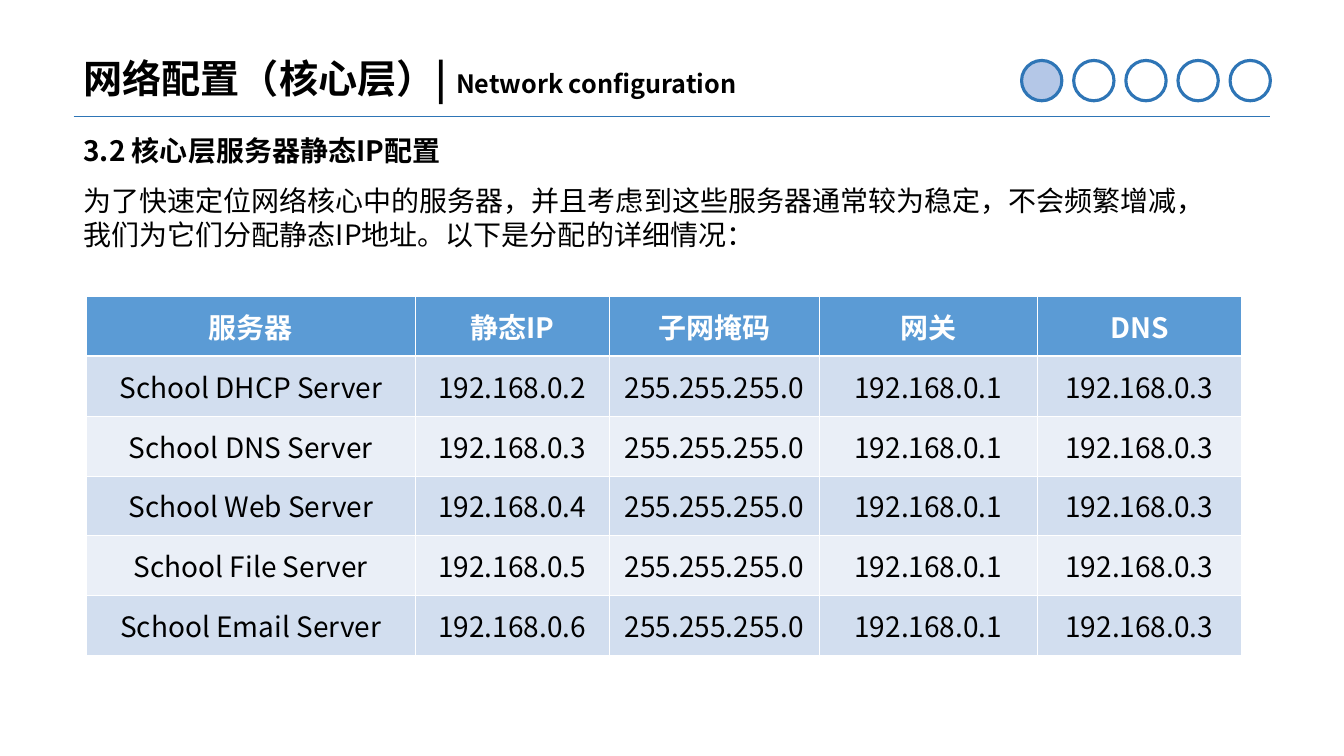
from dataclasses import dataclass

from lxml.etree import SubElement
from pptx import Presentation
from pptx.dml.color import RGBColor
from pptx.enum.shapes import MSO_CONNECTOR, MSO_SHAPE
from pptx.enum.text import MSO_ANCHOR, PP_ALIGN
from pptx.oxml import parse_xml
from pptx.oxml.ns import nsdecls, qn
from pptx.util import Inches, Pt

# Content
TITLE = "网络配置（核心层）| "
SUBTITLE = "Network configuration"
HEADING = "3.2 核心层服务器静态IP配置"
BODY = ("为了快速定位网络核心中的服务器，并且考虑到这些服务器通常较为稳定，"
        "不会频繁增减，我们为它们分配静态IP地址。以下是分配的详细情况：")
HEADER = ["服务器", "静态IP", "子网掩码", "网关", "DNS"]
SERVERS = [
    ("School DHCP Server", "192.168.0.2"),
    ("School DNS Server", "192.168.0.3"),
    ("School Web Server", "192.168.0.4"),
    ("School File Server", "192.168.0.5"),
    ("School Email Server", "192.168.0.6"),
]
SHARED_SETTINGS = ("255.255.255.0", "192.168.0.1", "192.168.0.3")
STEP_COUNT, CURRENT_STEP = 5, 0


@dataclass(frozen=True)
class Theme:
    font: str = "Noto Sans CJK SC"
    text: str = "000000"
    white: str = "FFFFFF"
    accent: str = "2E75B6"
    current: str = "B4C7E7"
    header: str = "5B9BD5"
    bands: tuple = ("D2DEEF", "EAEFF7")
    title_size: float = 28
    subtitle_size: float = 18
    body_size: float = 20
    rule_width: float = 0.5
    ring_width: float = 2.25
    border: float = 0.45
    header_border: float = 1.47


THEME = Theme()

# Layout in inches
WIDTH, HEIGHT = 13.34, 7.5
LEFT, RIGHT = 0.73, 12.61
RULE_TOP = 1.15
STEP_TOP, STEP_SIZE, STEP_FIRST = 0.6, 0.4, 10.14
TABLE_LEFT, TABLE_TOP, TABLE_HEIGHT = 0.86, 2.94, 3.56
COLUMN_WIDTHS = [3.26, 1.93, 2.08, 2.17, 2.02]


def color(value):
    return RGBColor.from_string(value)


def style_run(run, size, tint=THEME.text, bold=False):
    run.font.size = Pt(size)
    run.font.bold = bold
    run.font.color.rgb = color(tint)
    run.font.name = THEME.font
    SubElement(run.font._element, qn("a:ea"), typeface=THEME.font)


def add_text(slide, box, text, size, bold=False):
    shape = slide.shapes.add_textbox(*map(Inches, box))
    shape.text_frame.word_wrap = True
    shape.text_frame.text = text
    paragraph = shape.text_frame.paragraphs[0]
    style_run(paragraph.runs[0], size, bold=bold)
    return shape.text_frame, paragraph


def set_borders(cell, top, bottom):
    widths = {"lnL": THEME.border, "lnR": THEME.border, "lnT": top, "lnB": bottom}
    properties = cell._tc.get_or_add_tcPr()
    for position, (tag, width) in enumerate(widths.items()):
        properties.insert(position, parse_xml(
            f'<a:{tag} {nsdecls("a")} w="{Pt(width)}"><a:solidFill>'
            f'<a:srgbClr val="{THEME.white}"/></a:solidFill></a:{tag}>'))


def add_header(slide):
    # Rule, title and step circles
    rule = slide.shapes.add_connector(
        MSO_CONNECTOR.STRAIGHT, Inches(LEFT), Inches(RULE_TOP), Inches(RIGHT), Inches(RULE_TOP))
    rule.line.color.rgb = color(THEME.accent)
    rule.line.width = Pt(THEME.rule_width)
    SubElement(rule._element.spPr, qn("a:effectLst"))

    frame, paragraph = add_text(
        slide, (LEFT, 0.45, RIGHT - LEFT, 0.71), TITLE, THEME.title_size, bold=True)
    frame.vertical_anchor = MSO_ANCHOR.MIDDLE
    paragraph.line_spacing = 0.9
    subtitle = paragraph.add_run()
    subtitle.text = SUBTITLE
    style_run(subtitle, THEME.subtitle_size, bold=True)

    pitch = (RIGHT - STEP_SIZE - STEP_FIRST) / (STEP_COUNT - 1)
    for step in range(STEP_COUNT):
        circle = slide.shapes.add_shape(
            MSO_SHAPE.OVAL, Inches(STEP_FIRST + step * pitch), Inches(STEP_TOP),
            Inches(STEP_SIZE), Inches(STEP_SIZE))
        circle.shadow.inherit = False
        circle.line.color.rgb = color(THEME.accent)
        circle.line.width = Pt(THEME.ring_width)
        if step == CURRENT_STEP:
            circle.fill.solid()
            circle.fill.fore_color.rgb = color(THEME.current)
        else:
            circle.fill.background()


def add_server_table(slide):
    rows = [HEADER] + [server + SHARED_SETTINGS for server in SERVERS]
    table = slide.shapes.add_table(
        len(rows), len(HEADER), Inches(TABLE_LEFT), Inches(TABLE_TOP),
        Inches(sum(COLUMN_WIDTHS)), Inches(TABLE_HEIGHT)).table
    table.horz_banding = False
    for column, width in zip(table.columns, COLUMN_WIDTHS):
        column.width = Inches(width)

    for row_index, values in enumerate(rows):
        is_header = row_index == 0
        fill = THEME.header if is_header else THEME.bands[(row_index - 1) % 2]
        tint = THEME.white if is_header else THEME.text
        top = THEME.header_border if row_index == 1 else THEME.border
        bottom = THEME.header_border if is_header else THEME.border
        for column_index, value in enumerate(values):
            cell = table.cell(row_index, column_index)
            cell.text_frame.text = value
            cell.vertical_anchor = MSO_ANCHOR.MIDDLE
            cell.margin_left = cell.margin_right = Inches(0.11)
            cell.fill.solid()
            cell.fill.fore_color.rgb = color(fill)
            set_borders(cell, top, bottom)
            paragraph = cell.text_frame.paragraphs[0]
            paragraph.alignment = PP_ALIGN.CENTER
            style_run(paragraph.runs[0], THEME.body_size, tint, is_header)


def main():
    presentation = Presentation()
    presentation.slide_width = Inches(WIDTH)
    presentation.slide_height = Inches(HEIGHT)
    slide = presentation.slides.add_slide(presentation.slide_layouts[6])

    add_header(slide)
    add_text(slide, (LEFT, 1.27, 6.13, 0.49), HEADING, THEME.body_size, bold=True)
    add_text(slide, (LEFT, 1.77, 11.6, 0.89), BODY, THEME.body_size)
    add_server_table(slide)
    presentation.save("out.pptx")


if __name__ == "__main__":
    main()
